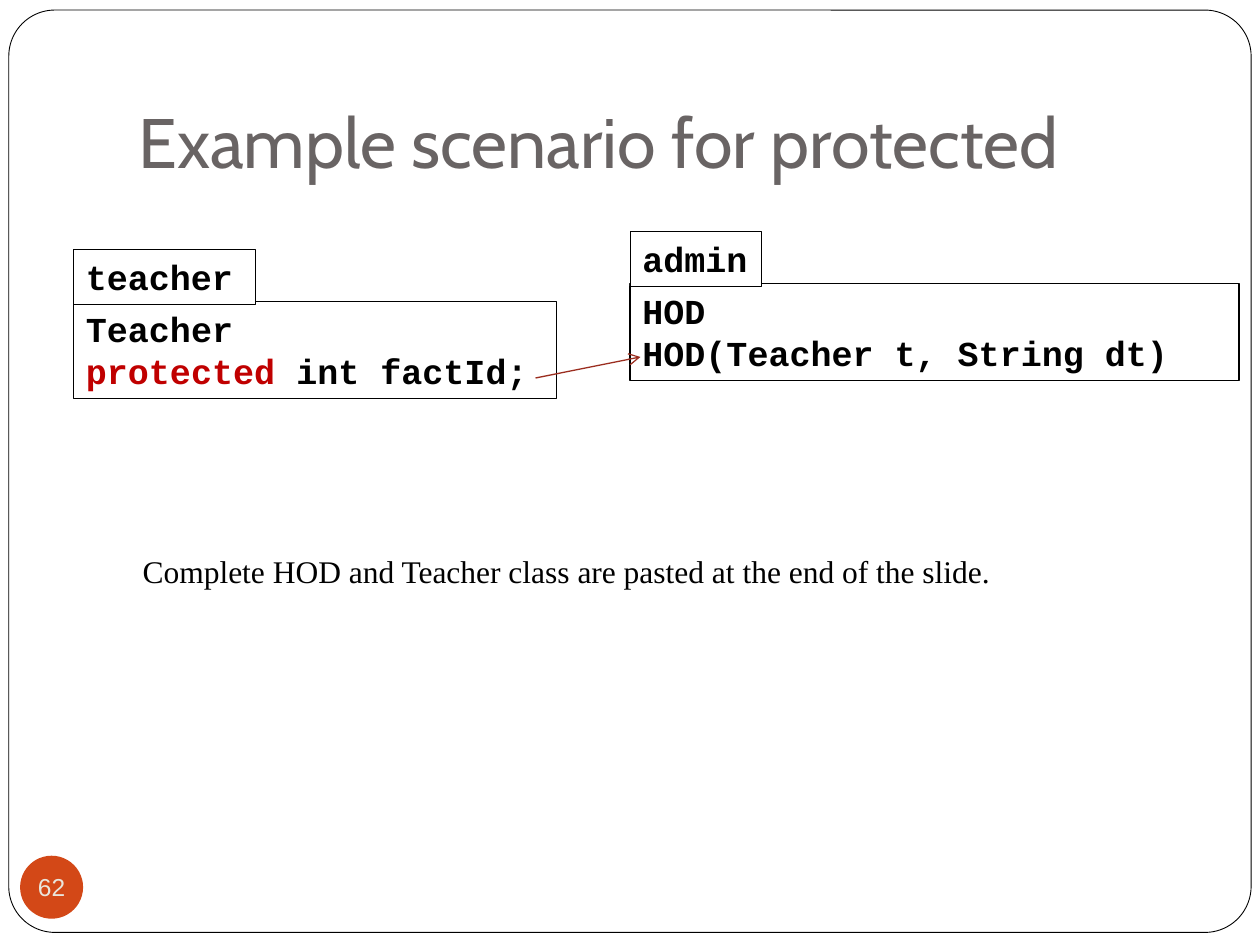
from dataclasses import dataclass
from typing import NamedTuple, Optional

from lxml.etree import SubElement
from pptx import Presentation
from pptx.dml.color import RGBColor as RGB
from pptx.enum.shapes import MSO_CONNECTOR as Conn, MSO_SHAPE as Geo
from pptx.enum.text import MSO_ANCHOR as Anchor, PP_ALIGN as Align
from pptx.oxml.ns import qn
from pptx.util import Inches, Pt


@dataclass(frozen=True)
class Style:
    name: str
    size: float
    color: str
    bold: bool = False


@dataclass(frozen=True)
class Theme:
    paper: str = "FFFFFF"
    ink: str = "000000"
    accent: str = "D34817"
    arrow: str = "9B2D1F"
    title: Style = Style("Cabin", 40, "696464")
    code: Style = Style("Courier New", 20, "000000", True)
    keyword: Style = Style("Courier New", 20, "C00000", True)
    note: Style = Style("Times New Roman", 18, "000000")
    badge: Style = Style("Arial", 14, "E9E5DC")


class Cell(NamedTuple):
    """A place on a grid of 120 columns by 90 rows."""
    col: float
    row: float
    cols: float
    rows: float


class Package(NamedTuple):
    name: str
    col: float
    row: float
    tab_cols: float
    box_cols: float
    lines: list


THEME = Theme()
UNIT = Inches(1) / 12
TAB_STEP, TAB_ROWS, BOX_ROWS = 5, 5.25, 9.25
PACKAGES = [
    Package("teacher", 7, 23.7, 17.3, 46,
            [[("Teacher", THEME.code)],
             [("protected ", THEME.keyword), ("int factId;", THEME.code)]]),
    Package("admin", 60, 22, 12.5, 58,
            [[("HOD", THEME.code)], [("HOD(Teacher t, String dt)", THEME.code)]]),
]


def grid(*values: float) -> list:
    return [round(v * UNIT) for v in values]


def write(sp, lines: list, align=Align.LEFT, **frame) -> None:
    """Fill a shape with lines, each a list of (text, style) runs."""
    tf = sp.text_frame
    for key, value in {"word_wrap": True, "vertical_anchor": Anchor.TOP, **frame}.items():
        setattr(tf, key, value)
    for i, line in enumerate(lines):
        p = tf.add_paragraph() if i else tf.paragraphs[0]
        p.alignment = align
        for text, style in line:
            r = p.add_run()
            r.text = text
            for key, value in {"name": style.name, "size": Pt(style.size),
                               "bold": style.bold}.items():
                setattr(r.font, key, value)
            r.font.color.rgb = RGB.from_string(style.color)


def add_shape(s, geo, cell: Cell, fill: Optional[str] = None, line: float = 0):
    sp = s.shapes.add_shape(geo, *grid(*cell))
    sp.shadow.inherit = False
    if fill:
        sp.fill.solid()
        sp.fill.fore_color.rgb = RGB.from_string(fill)
    else:
        sp.fill.background()
    if line:
        sp.line.color.rgb = RGB.from_string(THEME.ink)
        sp.line.width = Pt(line)
    else:
        sp.line.fill.background()
    return sp


def add_package(s, pkg: Package) -> None:
    box = add_shape(s, Geo.RECTANGLE,
                    Cell(pkg.col, pkg.row + TAB_STEP, pkg.box_cols, BOX_ROWS), line=0.75)
    write(box, pkg.lines)
    tab = add_shape(s, Geo.RECTANGLE, Cell(pkg.col, pkg.row, pkg.tab_cols, TAB_ROWS),
                    THEME.paper, 0.25)
    write(tab, [[(pkg.name, THEME.code)]], margin_right=0)


def add_arrow(s, *ends: float) -> None:
    line = s.shapes.add_connector(Conn.STRAIGHT, *grid(*ends))
    line.line.color.rgb = RGB.from_string(THEME.arrow)
    line.line.width = Pt(0.75)
    SubElement(line.line._get_or_add_ln(), qn("a:tailEnd"), type="arrow")
    SubElement(line.element.spPr, qn("a:effectLst"))


def main() -> None:
    prs = Presentation()
    prs.slide_width, prs.slide_height = grid(120, 90)
    s = prs.slides.add_slide(prs.slide_layouts[5])

    # Title, with the page frame behind it
    title = s.shapes.title
    title.left, title.top, title.width, title.height = grid(12, 3.6, 102, 15)
    write(title, [[("Example scenario for protected", THEME.title)]],
          vertical_anchor=Anchor.BOTTOM, margin_bottom=Inches(0.1))
    frame = add_shape(s, Geo.ROUNDED_RECTANGLE, Cell(0.84, 0.96, 118.32, 87.84),
                      THEME.paper, 0.5)
    frame.adjustments[0] = 0.05
    title.element.addprevious(frame.element)

    # Page number
    badge = add_shape(s, Geo.OVAL, Cell(1.92, 81.5, 6, 6), THEME.accent)
    margins = {f"margin_{side}": 0 for side in ("left", "top", "right", "bottom")}
    write(badge, [[("62", THEME.badge)]], Align.CENTER, vertical_anchor=Anchor.MIDDLE,
          **{**margins, "word_wrap": False})

    # Packages and the access between them
    for pkg in PACKAGES:
        add_package(s, pkg)
    add_arrow(s, 51, 36, 61, 34)

    # Closing note
    note = s.shapes.add_textbox(*grid(12.4, 52, 95.4, 4.8))
    write(note, [[("Complete HOD and Teacher class are pasted at the end of the slide.",
                   THEME.note)]])
    prs.save("out.pptx")


if __name__ == "__main__":
    main()
